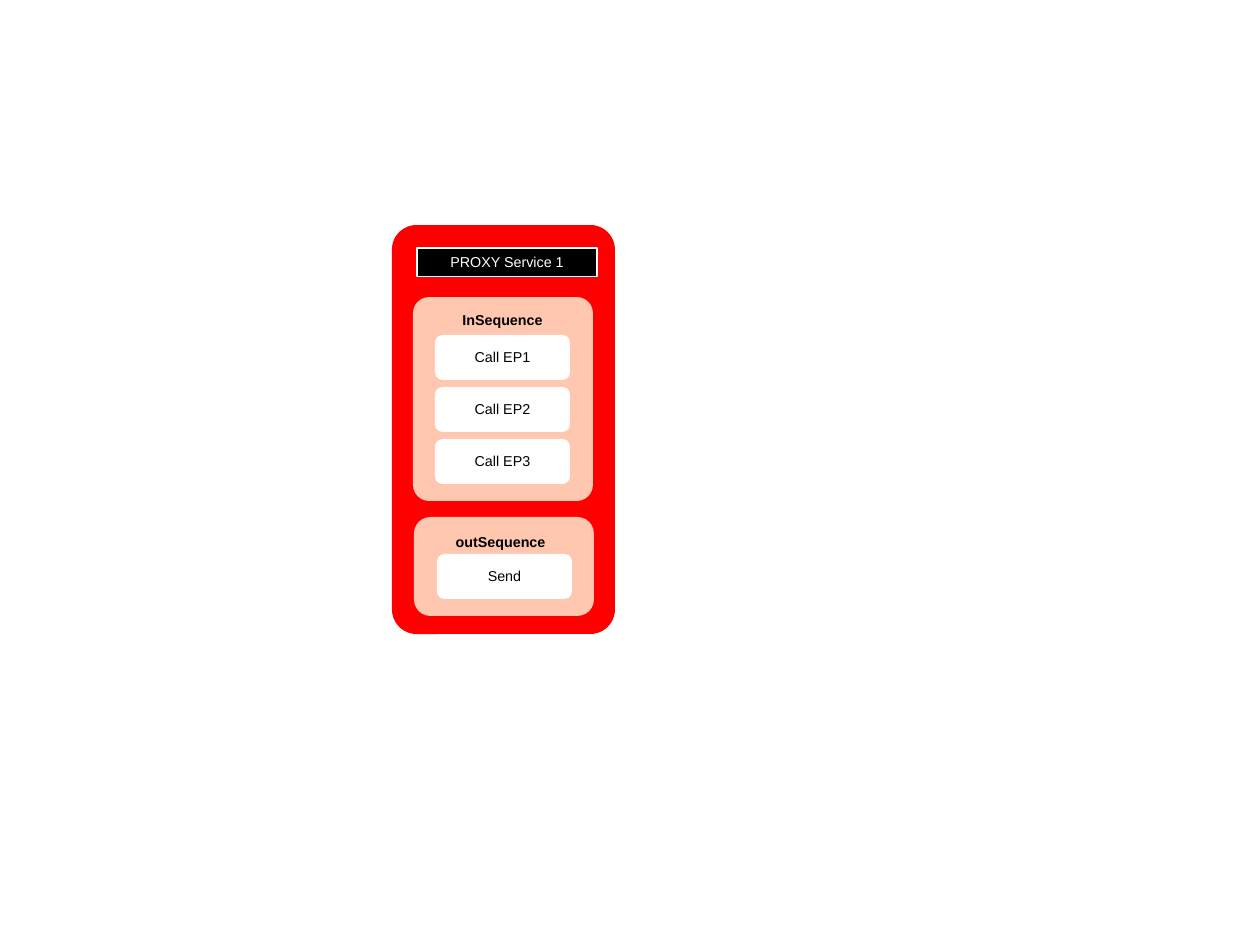
from pptx import Presentation
from pptx import util as u
from pptx.dml.color import RGBColor
from pptx.enum import shapes, text

RED = RGBColor(0xFF, 0x00, 0x00)
PEACH = RGBColor(0xFF, 0xC6, 0xB0)
BLACK = RGBColor(0x00, 0x00, 0x00)
WHITE = RGBColor(0xFF, 0xFF, 0xFF)

PX = 8000  # EMU per px


def px(*values):
    return [u.Emu(v * PX) for v in values]


class Diagram:
    font = "Arial"
    size = u.Pt(9)

    def __init__(self, slide):
        self.s = slide

    def label(self, sp, words, color=BLACK, bold=False, inset=(10, 7)):
        tf = sp.text_frame
        tf.text = words
        tf.word_wrap = True
        tf.vertical_anchor = text.MSO_ANCHOR.MIDDLE
        tf.margin_left = tf.margin_right = px(inset[0])[0]
        tf.margin_top = tf.margin_bottom = px(inset[1])[0]
        p = tf.paragraphs[0]
        p.alignment = text.PP_ALIGN.CENTER
        p.line_spacing = 0.93
        f = p.runs[0].font
        f.name, f.size, f.bold = self.font, self.size, bold
        f.color.rgb = color

    def shape(self, kind, box, fill):
        sp = self.s.shapes.add_shape(kind, *px(*box))
        sp.shadow.inherit = False
        sp.fill.solid()
        sp.fill.fore_color.rgb = fill
        sp.line.fill.background()
        return sp

    def panel(self, box, fill, radius=0.167):
        sp = self.shape(shapes.MSO_SHAPE.ROUNDED_RECTANGLE, box, fill)
        sp.adjustments[0] = radius
        return sp

    def banner(self, box, words):
        sp = self.shape(shapes.MSO_SHAPE.RECTANGLE, box, BLACK)
        sp.line.color.rgb = WHITE
        sp.line.width = u.Pt(0.75)
        self.label(sp, words, WHITE)

    def heading(self, box, words):
        self.label(self.s.shapes.add_textbox(*px(*box)), words, bold=True)

    def step(self, x, y, words):
        sp = self.panel((x, y, 135, 45), WHITE)
        self.label(sp, words, inset=(5, 5))


def main():
    prs = Presentation()
    prs.slide_width, prs.slide_height = px(1260, 945)
    d = Diagram(prs.slides.add_slide(prs.slide_layouts[6]))

    # Proxy service
    d.panel((392, 225, 223, 409), RED, 0.11)
    d.banner((417, 248, 180, 29), "PROXY Service 1")

    # In sequence
    d.panel((413, 297, 180, 204), PEACH, 0.09)
    d.heading((449, 306, 107, 30), "InSequence")
    for i in range(3):
        d.step(435, 335 + 52 * i, f"Call EP{i + 1}")

    # Out sequence
    d.panel((414, 517, 180, 99), PEACH)
    d.heading((440, 528, 121, 30), "outSequence")
    d.step(437, 554, "Send")

    prs.save("out.pptx")


if __name__ == "__main__":
    main()
